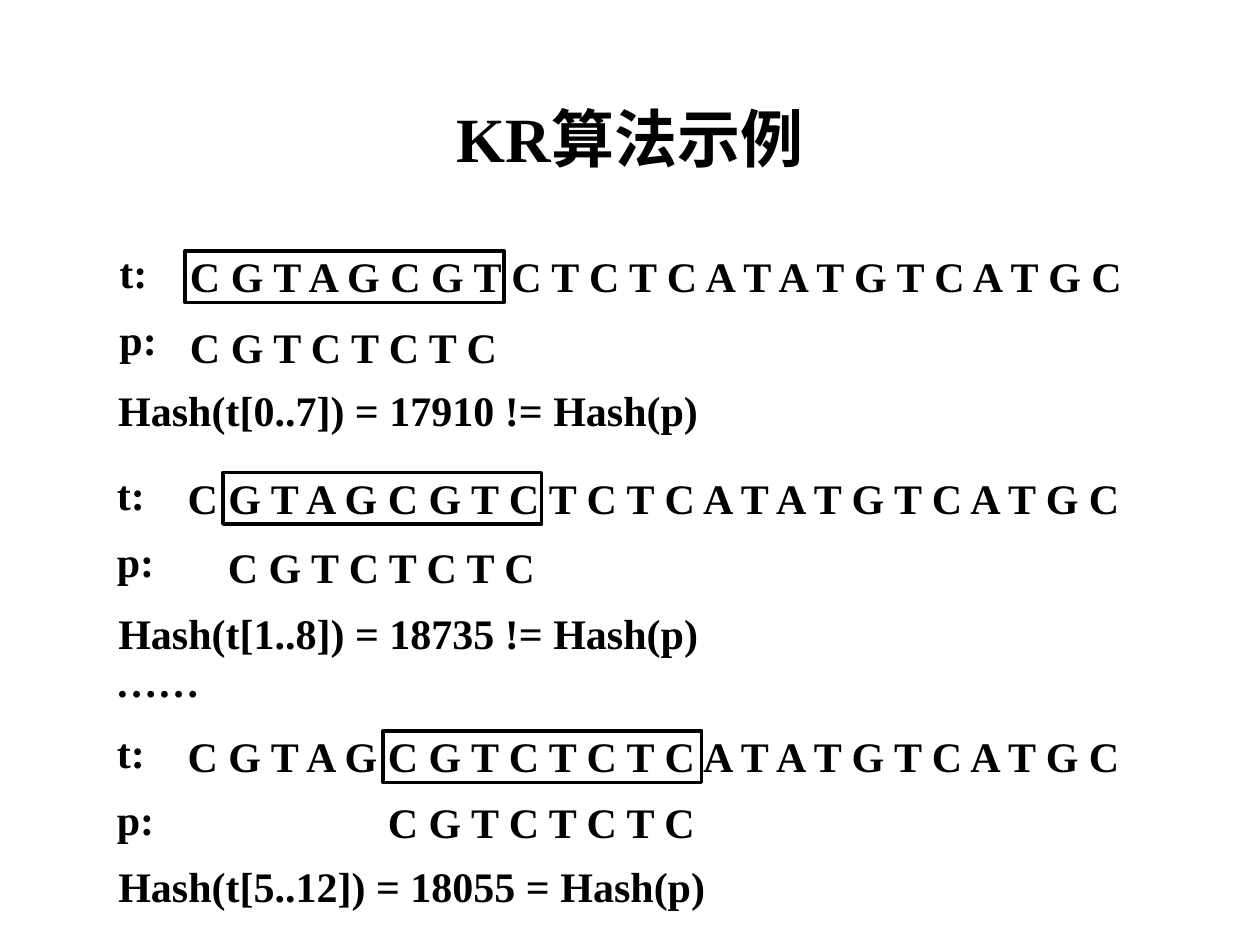
from pptx import Presentation
from pptx.dml.color import RGBColor
from pptx.enum.shapes import MSO_SHAPE
from pptx.enum.text import MSO_ANCHOR, MSO_AUTO_SIZE, PP_ALIGN
from pptx.util import Inches, Pt

BLACK = RGBColor(0, 0, 0)
FONT = "Times New Roman"
RECT = MSO_SHAPE.RECTANGLE
TOP, MIDDLE = MSO_ANCHOR.TOP, MSO_ANCHOR.MIDDLE
GROW = MSO_AUTO_SIZE.SHAPE_TO_FIT_TEXT
CENTER = PP_ALIGN.CENTER

TEXT = " ".join("CGTAGCGTCTCTCATATGTCATGC")
PATTERN = " ".join("CGTCTCTC")
ROW = 0.5

# text left, text top, pattern left, pattern top, hash top, hash width, hash line
STEPS = [
    (1.41, 1.94, 1.41, 2.5, 3, 5, "Hash(t[0..7]) = 17910 != Hash(p)"),
    (1.39, 3.7, 1.71, 4.25, 4.77, 4.85, "Hash(t[1..8]) = 18735 != Hash(p)"),
    (1.39, 5.75, 2.98, 6.27, 6.78, 4.89, "Hash(t[5..12]) = 18055 = Hash(p)"),
]


def add_text(slide, text, left, top, width, height, size, anchor):
    box = slide.shapes.add_textbox(
        Inches(left), Inches(top), Inches(width), Inches(height))
    frame = box.text_frame
    frame.text = text
    frame.vertical_anchor = anchor
    font = frame.paragraphs[0].runs[0].font
    font.name, font.size, font.bold = FONT, Pt(size), True
    font.color.rgb = BLACK
    return frame


def add_title(slide, text):
    frame = add_text(slide, text, 0.69, 0.4, 8.62, 1.45, 36, MIDDLE)
    frame.word_wrap = True
    line = frame.paragraphs[0]
    line.alignment, line.line_spacing = CENTER, 0.9


def add_line(slide, text, left, top, width, anchor=TOP):
    frame = add_text(slide, text, left, top, width, ROW, 24, anchor)
    frame.word_wrap = False
    frame.auto_size = GROW
    frame.paragraphs[0].space_before = Pt(3)


def add_window(slide, left, top):
    """Frame the part of the text that is compared with the pattern."""
    box = slide.shapes.add_shape(
        RECT, Inches(left), Inches(top), Inches(2.53), Inches(0.41))
    box.shadow.inherit = False
    box.fill.background()
    box.line.color.rgb = BLACK
    box.line.width = Pt(2)


def add_step(slide, left, top, pat_left, pat_top, hash_top, hash_width, result):
    label = left - 0.56
    add_line(slide, "t:", label, top - 0.03, 0.43)
    add_line(slide, TEXT, left, top, 7.67)
    add_line(slide, "p:", label, top + 0.5, 0.5)
    add_line(slide, PATTERN, pat_left, pat_top, 2.66)
    add_window(slide, pat_left + 0.06, top + 0.05)
    add_line(slide, result, 0.84, hash_top, hash_width)


def main():
    deck = Presentation()
    deck.slide_width, deck.slide_height = Inches(10), Inches(7.5)
    slide = deck.slides.add_slide(deck.slide_layouts[6])
    add_title(slide, "KR算法示例")
    for step in STEPS:
        add_step(slide, *step)
    add_line(slide, "……", 0.82, 5.15, 0.88, MIDDLE)
    deck.save("out.pptx")


if __name__ == "__main__":
    main()
